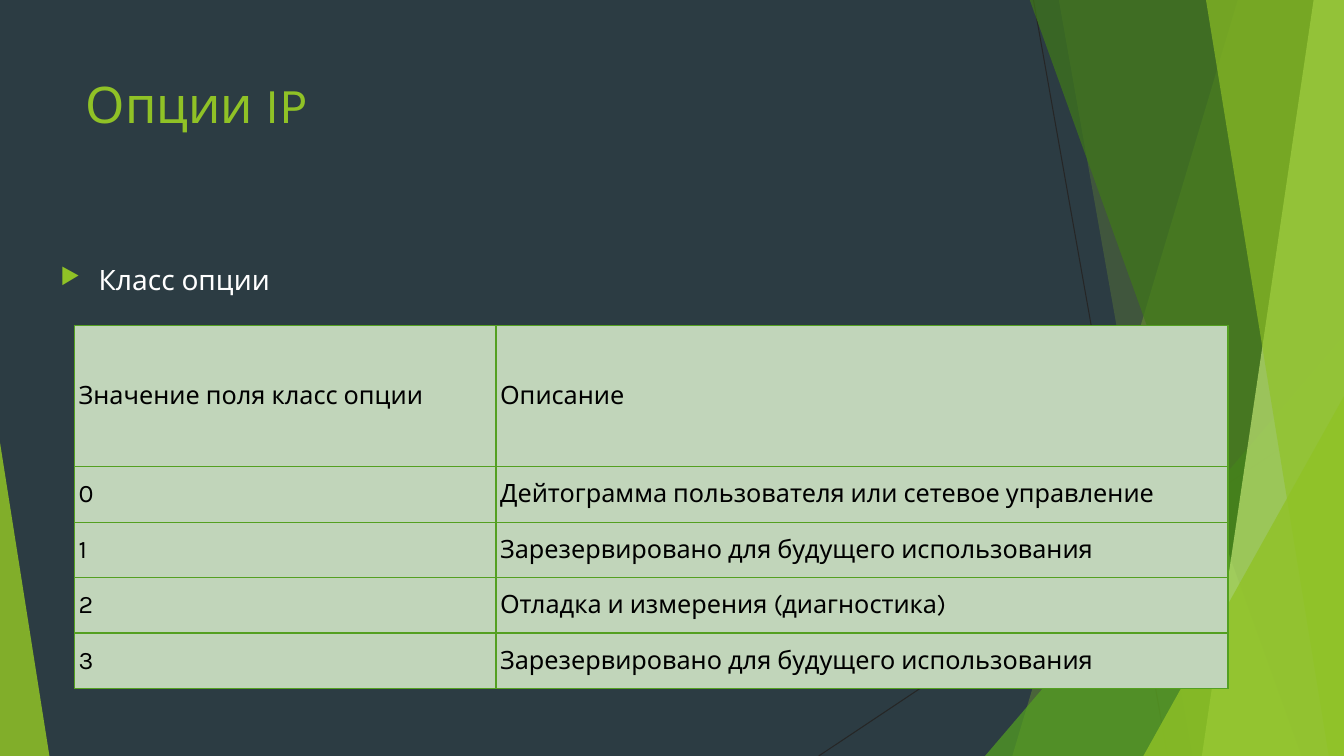
from dataclasses import dataclass

import pptx
import pptx.dml.color
import pptx.enum.shapes
import pptx.enum.text
import pptx.oxml
import pptx.oxml.ns
import pptx.util
from lxml import etree
from pptx.util import Inches

COLORS = {
    "background": "2C3C43", "lime": "90C226", "green": "54A021",
    "forest": "3F7819", "pale": "C0E474", "line": "262626",
    "cell": "C1D5BA", "black": "000000", "white": "FFFFFF",
}
FONT = "Karla"
WIDTH, HEIGHT = 13.33, 7.5
TOP_EDGE = -0.01


@dataclass
class Ray:
    start: tuple[float, float]
    end: tuple[float, float]


@dataclass
class Facet:
    """A band from a slanted left edge to the right side of the slide."""
    top_x: float
    bottom_x: float
    color: str
    opacity: int


@dataclass
class Corner:
    """A triangle standing on the bottom of the slide."""
    left: float
    top: float
    width: float
    apex: float
    color: str
    opacity: int


RAYS = [Ray((10.25, 0), (11.58, HEIGHT)), Ray((WIDTH, 4.03), (8.12, HEIGHT))]
DECORATIONS = [
    Facet(12.28, 10.04, "lime", 30),
    Facet(10.5, 11.83, "lime", 20),
    Corner(9.77, 3.33, 3.56, 1, "green", 72),
    Facet(10.21, 12.91, "forest", 70),
    Facet(13.03, 11.92, "pale", 70),
    Facet(11.96, 13.18, "lime", 65),
    Corner(11.34, 3.93, 1.99, 1, "lime", 80),
    Corner(0, 4.39, 0.49, 0, "lime", 85),
]
COLUMN_WIDTHS = [4.18, 7.26]
ROW_HEIGHTS = [1.4] + [0.55] * 4
OPTION_CLASSES = [
    ("Значение поля\u00a0класс опции", "Описание"),
    ("0", "Дейтограмма пользователя или сетевое управление"),
    ("1", "Зарезервировано для будущего использования"),
    ("2", "Отладка и измерения (диагностика)"),
    ("3", "Зарезервировано для будущего использования"),
]


def rgb(name: str) -> pptx.dml.color.RGBColor:
    return pptx.dml.color.RGBColor.from_string(COLORS[name])


def add_child(parent, tag: str, **attributes: str):
    return etree.SubElement(parent, pptx.oxml.ns.qn(tag), attributes)


def add_run(paragraph, text: str, size: int, color: str) -> None:
    run = paragraph.add_run()
    run.text = text
    run.font.name = FONT
    run.font.size = pptx.util.Pt(size)
    run.font.color.rgb = rgb(color)


def draw_ray(slide, ray: Ray) -> None:
    connector = slide.shapes.add_connector(
        pptx.enum.shapes.MSO_CONNECTOR.STRAIGHT,
        *(Inches(value) for value in ray.start + ray.end))
    connector.line.color.rgb = rgb("line")
    connector.line.width = pptx.util.Pt(0.75)
    add_child(connector._element.spPr, "a:effectLst")


def draw_decoration(slide, item: Facet | Corner) -> None:
    if isinstance(item, Facet):
        builder = slide.shapes.build_freeform(Inches(item.top_x), Inches(TOP_EDGE))
        corners = [(WIDTH, TOP_EDGE), (WIDTH, HEIGHT), (item.bottom_x, HEIGHT)]
        builder.add_line_segments([(Inches(x), Inches(y)) for x, y in corners])
        shape = builder.convert_to_shape()
    else:
        shape = slide.shapes.add_shape(
            pptx.enum.shapes.MSO_SHAPE.ISOSCELES_TRIANGLE,
            Inches(item.left), Inches(item.top),
            Inches(item.width), Inches(HEIGHT - item.top))
        shape.adjustments[0] = item.apex
    shape.shadow.inherit = False
    shape.line.fill.background()
    shape.fill.solid()
    shape.fill.fore_color.rgb = rgb(item.color)
    color = shape._element.spPr.find(".//" + pptx.oxml.ns.qn("a:srgbClr"))
    add_child(color, "a:alpha", val=str(item.opacity * 1000))


def fill_title(slide) -> None:
    title = slide.shapes.title
    title.left, title.top = Inches(0.75), Inches(0.68)
    title.width, title.height = Inches(9), Inches(0.77)
    frame = title.text_frame
    frame.word_wrap = True
    frame.vertical_anchor = pptx.enum.text.MSO_ANCHOR.TOP
    paragraph = frame.paragraphs[0]
    paragraph.alignment = pptx.enum.text.PP_ALIGN.LEFT
    paragraph.line_spacing = 1.0
    add_run(paragraph, "Опции IP", 36, "lime")


def draw_bullet_text(slide) -> None:
    box = slide.shapes.add_textbox(Inches(0.5), Inches(2.55), Inches(11.25), Inches(4.55))
    box.text_frame.word_wrap = True
    paragraph = box.text_frame.paragraphs[0]
    paragraph.space_before = pptx.util.Pt(10)
    properties = paragraph._p.get_or_add_pPr()
    properties.set("marL", str(Inches(0.38)))
    properties.set("indent", str(Inches(-0.38)))
    bullet_color = add_child(properties, "a:buClr")
    add_child(bullet_color, "a:srgbClr", val=COLORS["lime"])
    add_child(properties, "a:buSzPct", val="80000")
    add_child(properties, "a:buChar", char="▶")
    add_run(paragraph, "Класс опции", 20, "white")


def format_cell(cell, text: str) -> None:
    cell.vertical_anchor = pptx.enum.text.MSO_ANCHOR.MIDDLE
    cell.margin_left = cell.margin_right = Inches(0.04)
    cell.margin_top = cell.margin_bottom = Inches(0.04)
    add_run(cell.text_frame.paragraphs[0], text, 18, "black")
    # Borders come before the fill in the cell properties
    properties = cell._tc.get_or_add_tcPr()
    for side in ("a:lnL", "a:lnR", "a:lnT", "a:lnB"):
        border = add_child(properties, side, w=str(pptx.util.Pt(1)))
        border_fill = add_child(border, "a:solidFill")
        add_child(border_fill, "a:srgbClr", val=COLORS["green"])
    cell.fill.solid()
    cell.fill.fore_color.rgb = rgb("cell")


def draw_table(slide) -> None:
    table = slide.shapes.add_table(
        len(ROW_HEIGHTS), len(COLUMN_WIDTHS), Inches(0.74), Inches(3.23),
        Inches(sum(COLUMN_WIDTHS)), Inches(sum(ROW_HEIGHTS))).table
    table.first_row = table.horz_banding = False
    for column, width in zip(table.columns, COLUMN_WIDTHS):
        column.width = Inches(width)
    for row, height, texts in zip(table.rows, ROW_HEIGHTS, OPTION_CLASSES):
        row.height = Inches(height)
        for cell, text in zip(row.cells, texts):
            format_cell(cell, text)


def main() -> None:
    presentation = pptx.Presentation()
    presentation.slide_width = Inches(WIDTH)
    presentation.slide_height = Inches(HEIGHT)
    slide = presentation.slides.add_slide(presentation.slide_layouts[5])
    slide.background.fill.solid()
    slide.background.fill.fore_color.rgb = rgb("background")

    # Background decoration
    for ray in RAYS:
        draw_ray(slide, ray)
    for item in DECORATIONS:
        draw_decoration(slide, item)

    # Content
    fill_title(slide)
    draw_bullet_text(slide)
    draw_table(slide)
    presentation.save("out.pptx")


if __name__ == "__main__":
    main()
